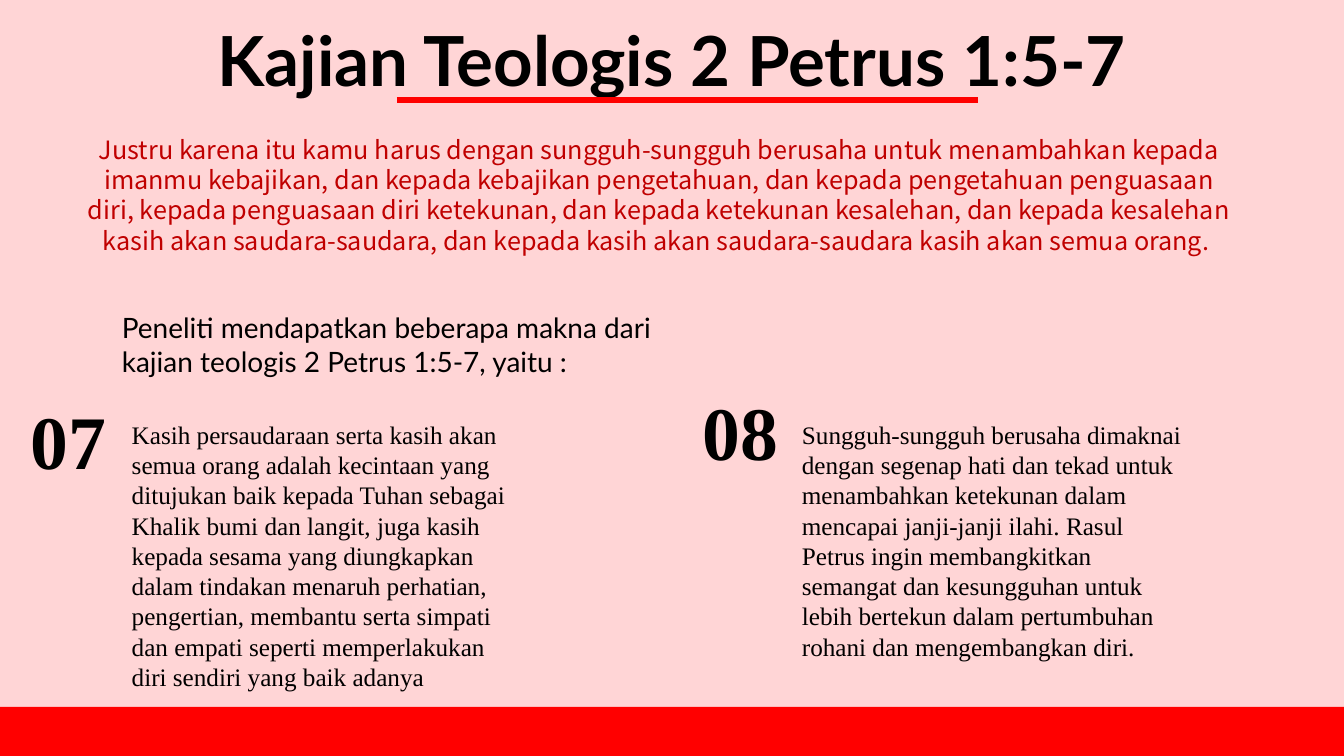
from pptx import Presentation
from pptx.dml.color import RGBColor
from pptx.enum.shapes import MSO_CONNECTOR, MSO_SHAPE
from pptx.enum.text import MSO_AUTO_SIZE, PP_ALIGN
from pptx.oxml.ns import qn
from pptx.util import Cm, Pt
from lxml.etree import SubElement

PINK = RGBColor(0xFF, 0xD5, 0xD6)
RED = RGBColor(0xFF, 0x00, 0x00)
DARK_RED = RGBColor(0xC0, 0x00, 0x00)
BLACK = RGBColor(0x00, 0x00, 0x00)

HEADING_FONT = "Lato"
VERSE_FONT = "Noto Sans CJK KR"
BODY_FONT = "Times New Roman"


class StudySlide:
    """Holds the current slide and its drawing style."""

    def __init__(self, presentation):
        self.slide = presentation.slides.add_slide(presentation.slide_layouts[6])
        self.slide.background.fill.solid()
        self.slide.background.fill.fore_color.rgb = PINK

    def band(self, left, top, width, height):
        band = self.slide.shapes.add_shape(
            MSO_SHAPE.RECTANGLE, Cm(left), Cm(top), Cm(width), Cm(height))
        band.shadow.inherit = False
        band.fill.solid()
        band.fill.fore_color.rgb = RED
        band.line.fill.background()

    def rule(self, left, right, y):
        rule = self.slide.shapes.add_connector(
            MSO_CONNECTOR.STRAIGHT, Cm(left), Cm(y), Cm(right), Cm(y))
        rule.line.color.rgb = RED
        rule.line.width = Pt(5)
        SubElement(rule._element.spPr, qn("a:effectLst"))

    def text(self, words, left, top, width, height, font, size, color=BLACK,
             bold=False, centred=False, spacing=None):
        box = self.slide.shapes.add_textbox(
            Cm(left), Cm(top), Cm(width), Cm(height))
        frame = box.text_frame
        frame.word_wrap = True
        frame.auto_size = MSO_AUTO_SIZE.SHAPE_TO_FIT_TEXT
        paragraph = frame.paragraphs[0]
        paragraph.text = words
        paragraph.font.name = font
        paragraph.font.size = Pt(size)
        paragraph.font.bold = bold
        paragraph.font.color.rgb = color
        if spacing:
            paragraph.line_spacing = spacing
        if centred:
            paragraph.alignment = PP_ALIGN.CENTER
            frame.margin_left = frame.margin_right = 0
            frame.margin_top = frame.margin_bottom = 0


def main():
    presentation = Presentation()
    presentation.slide_width = Cm(33.87)
    presentation.slide_height = Cm(19.05)
    study = StudySlide(presentation)

    # Footer band
    study.band(0, 17.81, 33.87, 1.24)

    # Title and underline
    study.text("Kajian Teologis 2 Petrus 1:5-7", 2.36, 0.43, 29.16, 2.11,
               HEADING_FONT, 49.3, bold=True, centred=True, spacing=Pt(59.2))
    study.rule(10, 24.64, 2.52)

    # Bible verse
    study.text(
        "Justru karena itu kamu harus dengan sungguh-sungguh berusaha untuk "
        "menambahkan kepada imanmu kebajikan, dan kepada kebajikan pengetahuan, "
        "dan kepada pengetahuan penguasaan diri, kepada penguasaan diri "
        "ketekunan, dan kepada ketekunan kesalehan, dan kepada kesalehan kasih "
        "akan saudara-saudara, dan kepada kasih akan saudara-saudara kasih akan "
        "semua orang. ",
        2.03, 3.38, 29.16, 3.84, VERSE_FONT, 18, DARK_RED, centred=True)

    # Introduction to the findings
    study.text(
        "Peneliti mendapatkan beberapa makna dari kajian teologis 2 Petrus "
        "1:5-7, yaitu :", 2.82, 7.7, 14.1, 1.96, HEADING_FONT, 20)

    # Numbered findings: number, its left and top, left of the meaning, meaning
    findings = [
        ("07", 0.53, 9.8, 3.07,
         "Kasih persaudaraan serta kasih akan semua orang adalah kecintaan yang "
         "ditujukan baik kepada Tuhan sebagai Khalik bumi dan langit, juga kasih "
         "kepada sesama yang diungkapkan dalam tindakan menaruh perhatian, "
         "pengertian, membantu serta simpati dan empati seperti memperlakukan "
         "diri sendiri yang baik adanya"),
        ("08", 17.45, 9.58, 19.96,
         "Sungguh-sungguh berusaha dimaknai dengan segenap hati dan tekad untuk "
         "menambahkan ketekunan dalam mencapai janji-janji ilahi. Rasul Petrus "
         "ingin membangkitkan semangat dan kesungguhan untuk lebih bertekun "
         "dalam pertumbuhan rohani dan mengembangkan diri."),
    ]
    for number, number_left, number_top, meaning_left, meaning in findings:
        study.text(number, number_left, number_top, 2.54, 2.57,
                   BODY_FONT, 54, bold=True)
        study.text(meaning, meaning_left, 10.44, 10.16, 7.19, BODY_FONT, 18)

    presentation.save("out.pptx")


if __name__ == "__main__":
    main()
